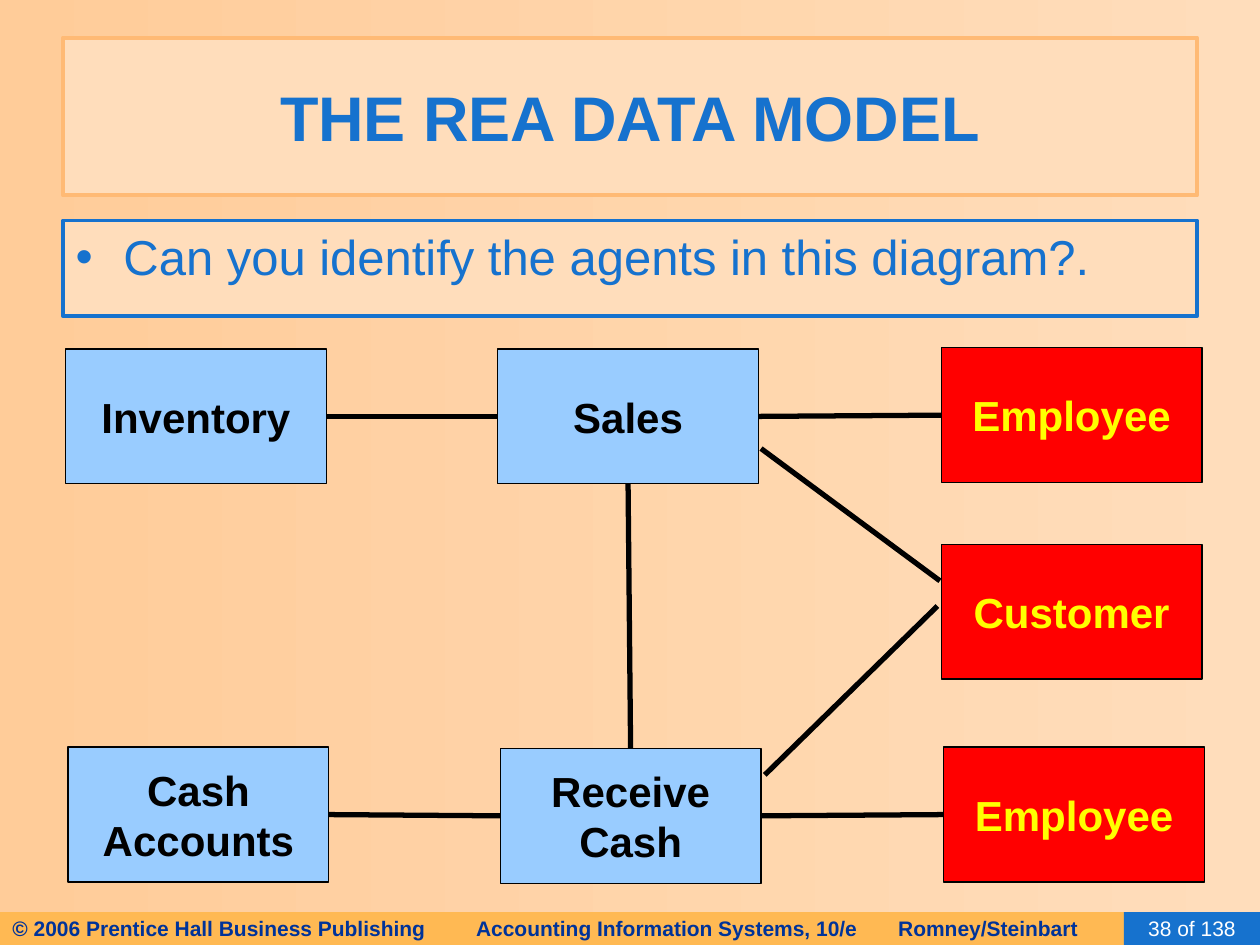
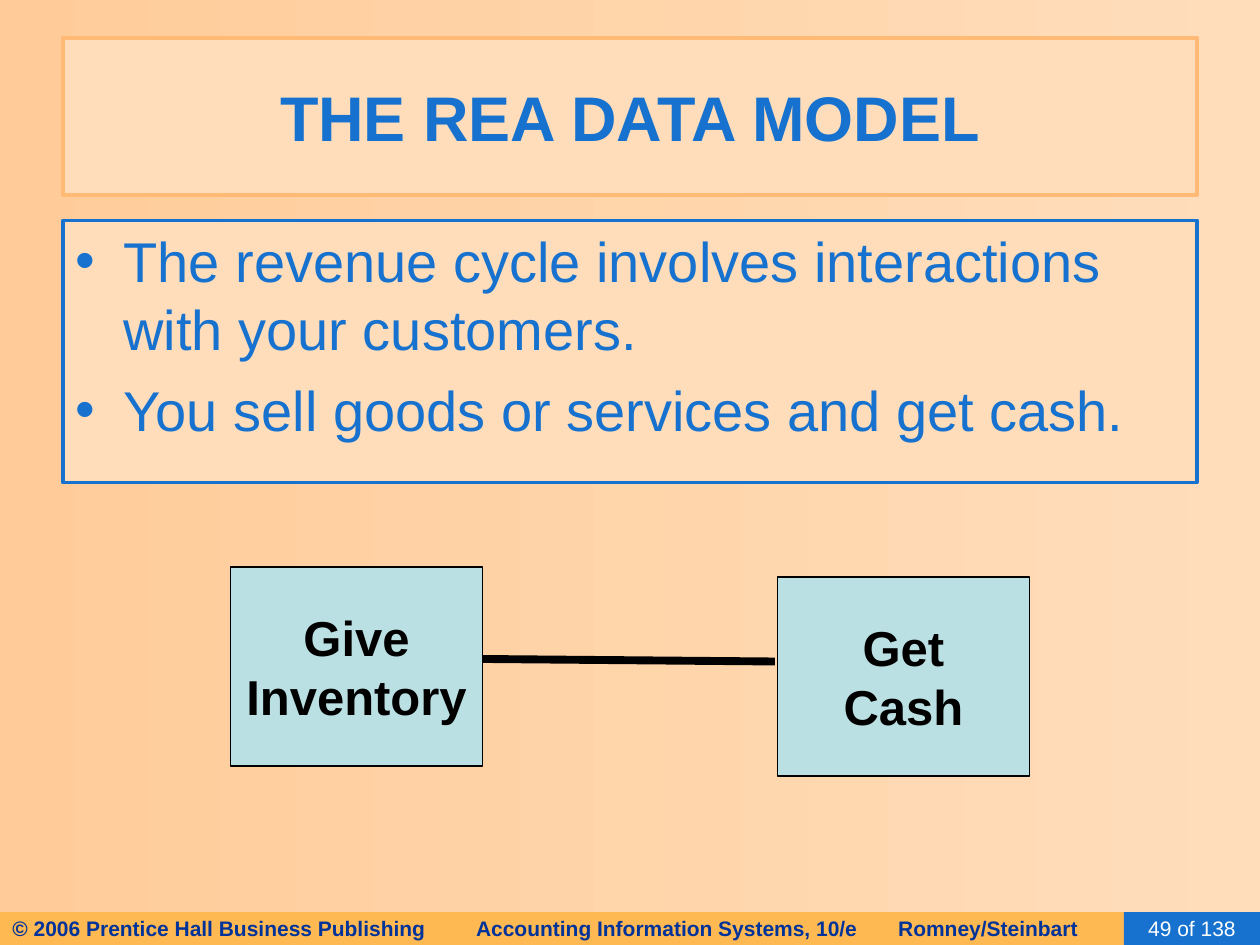
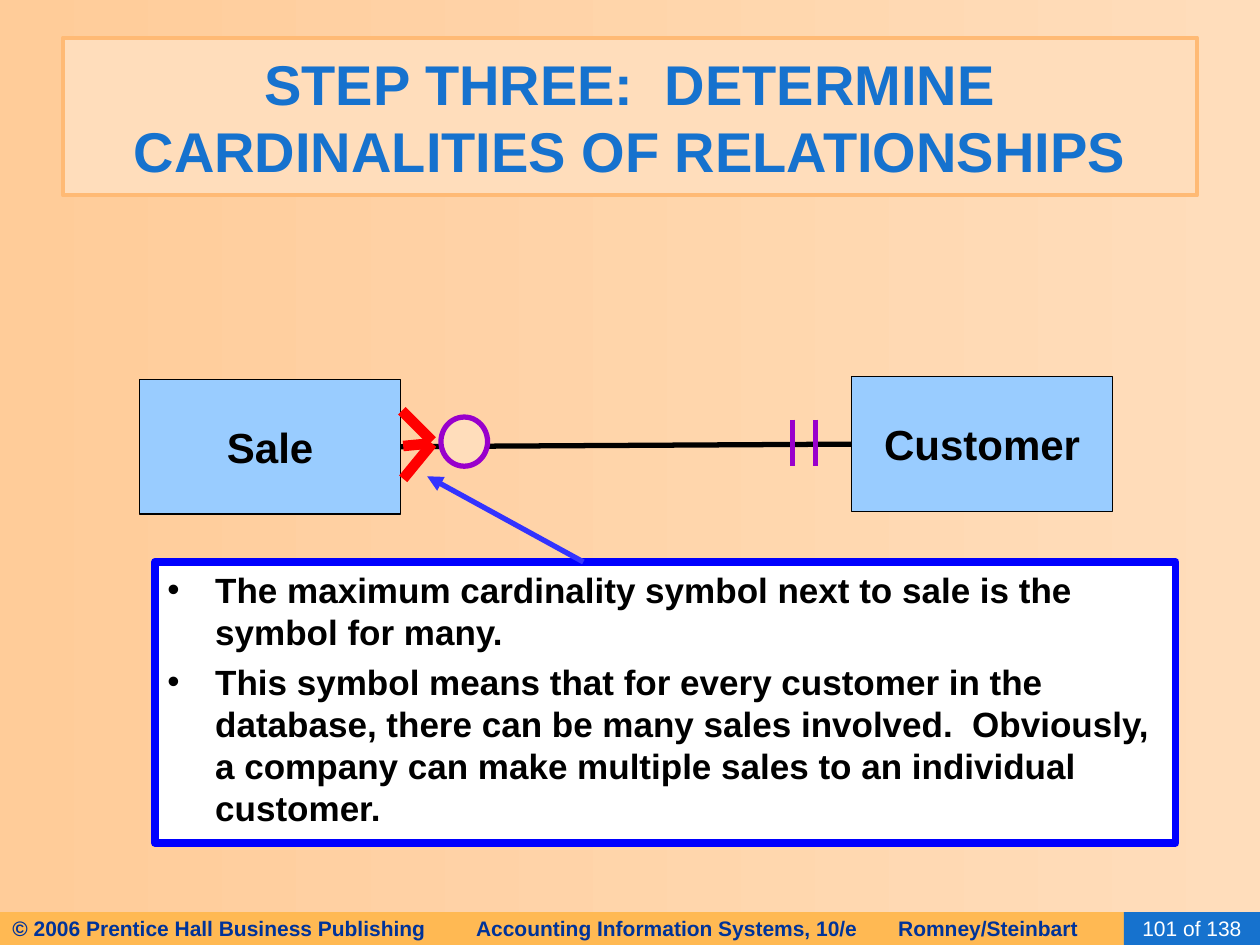
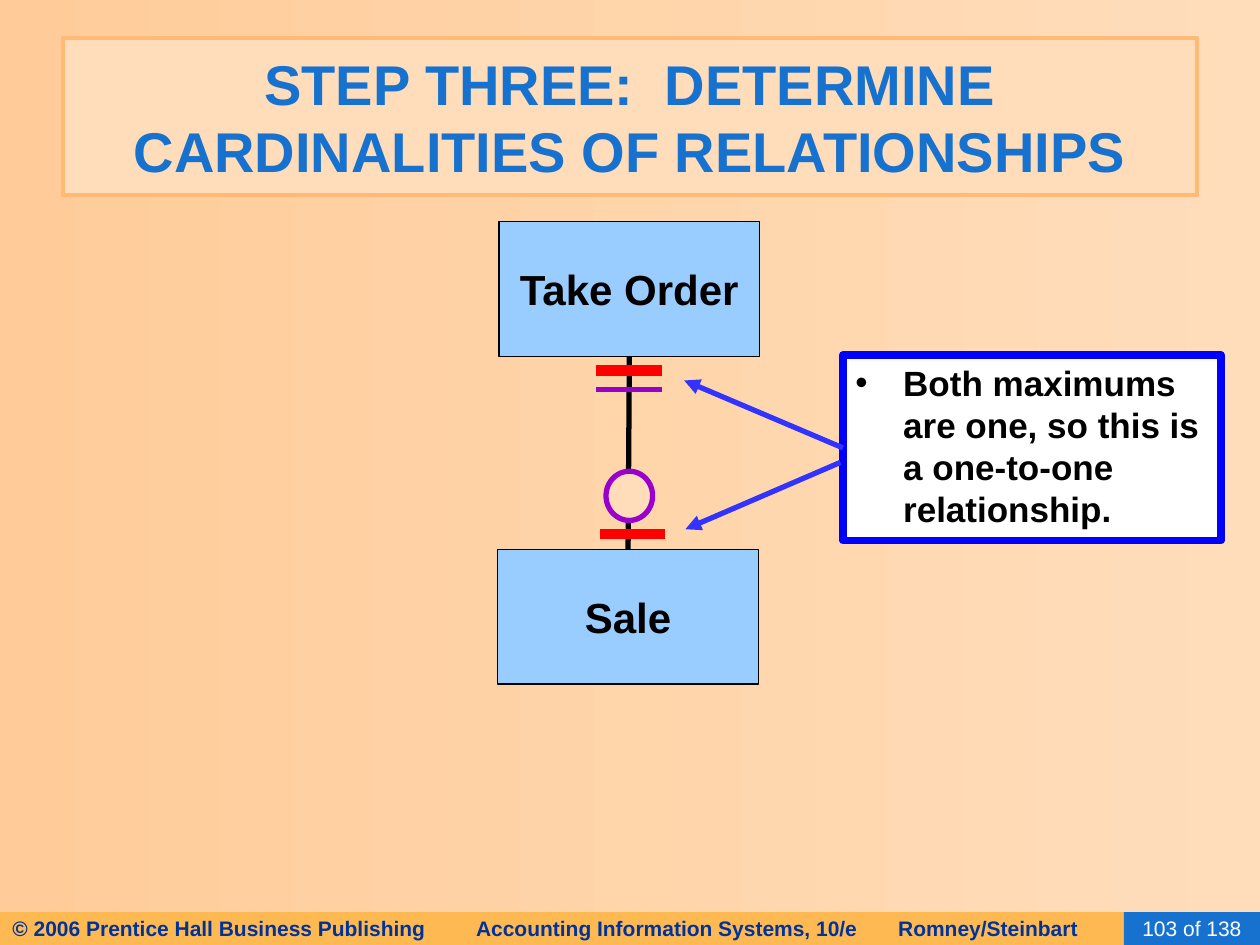
from dataclasses import dataclass

from lxml import etree
from pptx import Presentation, util as u
from pptx.dml.color import RGBColor
from pptx.enum import shapes, text
from pptx.oxml import ns

COLS, ROWS = 20, 15
TOP, LEFT, BOTTOM, RIGHT = range(4)
MID, CENTER = text.MSO_ANCHOR.MIDDLE, text.PP_ALIGN.CENTER
RECT, OVAL = shapes.MSO_SHAPE.RECTANGLE, shapes.MSO_SHAPE.OVAL


@dataclass(frozen=True)
class Theme:
    font: str = "Arial"
    pale: str = "FFDDBB"
    peach: str = "FFCC99"
    edge: str = "FFBA75"
    band: str = "FFB953"
    blue: str = "1672CE"
    navy: str = "003399"
    sky: str = "99CCFF"
    teal: str = "BBE0E3"
    red: str = "FF0000"
    yellow: str = "FFFF00"
    purple: str = "9900CC"
    frame: str = "0000FF"
    arrow: str = "3333FF"
    black: str = "000000"
    white: str = "FFFFFF"
    foot: int = 12
    note: int = 20
    label: int = 24
    big: int = 28
    list: int = 32
    head: int = 36
    thin: float = 0.75
    rule: float = 3
    thick: float = 6


T = Theme()
FOOT = ("© 2006 Prentice Hall Business Publishing\t"
        "Accounting Information Systems, 10/e\tRomney/Steinbart")
BOX = (4.14, 2.14)
RING = (0.74, 0.78)


def rgb(code):
    return RGBColor.from_string(code)


def child(node, tag, **attrs):
    return etree.SubElement(node, ns.qn(tag), attrs)


class Deck:
    """Holds the style, the grid and the current slide."""

    def __init__(self):
        self.prs = Presentation()
        self.prs.slide_width, self.prs.slide_height = u.Inches(10), u.Inches(7.5)
        self.dx = self.prs.slide_width / COLS
        self.dy = self.prs.slide_height / ROWS
        fill = self.prs.slide_master.background.fill
        fill.gradient()
        fill.gradient_angle = 180
        for stop, code, pos in zip(fill.gradient_stops, (T.pale, T.peach), (0, 1)):
            stop.color.rgb, stop.position = rgb(code), pos

    def emu(self, x, y):
        return round(x * self.dx), round(y * self.dy)

    def slide(self, title, page, size=T.head, body=False):
        layout = self.prs.slide_layouts[1 if body else 5]
        self.page = self.prs.slides.add_slide(layout)
        bar = self.shape((0, 14.48), (18.5, 0.52), T.band)
        self.label(bar, [FOOT], T.foot, T.navy, align=None, tabs=(3.68, 7.03))
        tag = self.shape((17.84, 14.48), (2.16, 0.52), T.blue)
        self.label(tag, [f"{page} of 138"], T.foot, T.white, bold=False)
        head = self.page.shapes.title
        self.place(head, (1, 0.6), (18, 2.5))
        self.paint(head, T.pale, T.edge, 2.5)
        self.label(head, [title], size, T.blue)

    def place(self, item, at, size):
        item.left, item.top = self.emu(*at)
        item.width, item.height = self.emu(*size)

    def paint(self, item, fill, edge=None, width=T.thin):
        item.fill.solid()
        item.fill.fore_color.rgb = rgb(fill)
        if edge:
            item.line.color.rgb, item.line.width = rgb(edge), u.Pt(width)
        else:
            item.line.fill.background()

    def shape(self, at, size, fill, edge=None, width=T.thin, kind=RECT):
        item = self.page.shapes.add_shape(kind, *self.emu(*at), *self.emu(*size))
        item.shadow.inherit = False
        self.paint(item, fill, edge, width)
        return item

    def label(self, item, lines, size, color, bold=True, align=CENTER,
              anchor=MID, wrap=True, gap=0, bullet=False, tabs=()):
        frame = item.text_frame
        form = dict(word_wrap=wrap, vertical_anchor=anchor,
                    auto_size=text.MSO_AUTO_SIZE.NONE,
                    margin_left=u.Inches(0.1), margin_right=u.Inches(0.1),
                    margin_top=u.Inches(0.05), margin_bottom=u.Inches(0.05))
        for key, val in form.items():
            setattr(frame, key, val)
        for i, line in enumerate(lines):
            para = frame.add_paragraph() if i else frame.paragraphs[0]
            para.alignment = align or text.PP_ALIGN.LEFT
            para.space_before = u.Pt(gap if i else 0)
            props = para._p.get_or_add_pPr()
            if bullet:
                props.set("marL", str(u.Inches(0.38)))
                props.set("indent", str(-u.Inches(0.38)))
                child(child(props, "a:buClr"), "a:srgbClr", val=color)
                child(props, "a:buFont", typeface=T.font)
                child(props, "a:buChar", char="•")
            if tabs:
                stops = child(props, "a:tabLst")
                for pos in tabs:
                    child(stops, "a:tab", pos=str(u.Inches(pos)), algn="l")
            run = para.add_run()
            run.text = line
            for key, val in dict(name=T.font, size=u.Pt(size), bold=bold).items():
                setattr(run.font, key, val)
            run.font.color.rgb = rgb(color)

    def bullets(self, height, lines, size, gap):
        body = self.page.placeholders[1]
        self.place(body, (1, 3.5), (18, height))
        self.paint(body, T.pale, T.blue, 2.25)
        self.label(body, lines, size, T.blue, bold=False, align=None,
                   anchor=text.MSO_ANCHOR.TOP, gap=gap, bullet=True)

    def box(self, at, lines, fill=T.sky, color=T.black, span=BOX, size=T.label):
        item = self.shape(at, span, fill, T.black)
        self.label(item, lines, size, color, wrap=False)
        return item

    def note(self, at, span, lines):
        item = self.shape(at, span, T.white, T.frame, 4.5)
        self.label(item, lines, T.note, T.black, align=None,
                   anchor=text.MSO_ANCHOR.TOP, gap=5, bullet=True)
        return item

    def ring(self, at):
        self.shape(at, RING, T.pale, T.purple, T.rule, OVAL)

    def line(self, a, b, color=T.black, width=T.rule, arrow=False):
        """Each end is a point on the grid or a (shape, side) joint."""
        joints = [not isinstance(end[0], (int, float)) for end in (a, b)]
        spots = [(0, 0) if joint else self.emu(*end)
                 for joint, end in zip(joints, (a, b))]
        link = self.page.shapes.add_connector(
            shapes.MSO_CONNECTOR.STRAIGHT, *spots[0], *spots[1])
        if joints[0]:
            link.begin_connect(*a)
        if joints[1]:
            link.end_connect(*b)
        link.line.color.rgb, link.line.width = rgb(color), u.Pt(width)
        props = link._element.spPr
        if arrow:
            child(props.get_or_add_ln(), "a:tailEnd", type="triangle")
        child(props, "a:effectLst")


def agents(deck):
    deck.slide("THE REA DATA MODEL", 38, body=True)
    deck.bullets(1.52, ["Can you identify the agents in this diagram?."], T.big, 7)
    hot = dict(fill=T.red, color=T.yellow)
    clerk = deck.box((14.94, 5.52), ["Employee"], **hot)
    deck.box((14.94, 8.64), ["Customer"], **hot)
    teller = deck.box((14.98, 11.86), ["Employee"], **hot)
    sales = deck.box((7.9, 5.54), ["Sales"])
    cash = deck.box((7.94, 11.88), ["Receive", "Cash"])
    stock = deck.box((1.04, 5.54), ["Inventory"])
    funds = deck.box((1.08, 11.86), ["Cash", "Accounts"])
    for a, b in ((stock, sales), (sales, clerk), (funds, cash), (cash, teller)):
        deck.line((a, RIGHT), (b, LEFT))
    deck.line((sales, BOTTOM), (cash, TOP))
    deck.line((12.08, 7.12), (14.92, 9.22))
    deck.line((12.14, 12.3), (14.88, 9.62))


def revenue(deck):
    deck.slide("THE REA DATA MODEL", 49, body=True)
    deck.bullets(4.16, [
        "The revenue cycle involves interactions with your customers.",
        "You sell goods or services and get cash."], T.list, 8)
    look = dict(fill=T.teal, span=(4, 3.16), size=T.big)
    deck.box((3.66, 9), ["Give", "Inventory"], **look)
    deck.box((12.34, 9.16), ["Get", "Cash"], **look)
    deck.line((12.3, 10.5), (7.66, 10.46), width=4.5)


STEP = "STEP THREE:  DETERMINE CARDINALITIES OF RELATIONSHIPS"


def many(deck):
    deck.slide(STEP, 101, T.list)
    sale = deck.box((2.22, 6.02), ["Sale"])
    buyer = deck.box((13.52, 5.98), ["Customer"])
    deck.line((sale, RIGHT), (buyer, LEFT))
    for x in (12.58, 12.94):
        deck.line((x, 6.66), (x, 7.4), T.purple)
    for a, b in (((6.86, 7), (6.38, 6.52)), ((6.4, 7.08), (6.82, 7.04)),
                 ((6.86, 7.04), (6.4, 7.6))):
        deck.line(a, b, T.red, T.thick)
    deck.ring((7, 6.62))
    deck.note((2.46, 8.92), (16.2, 4.46), [
        "The maximum cardinality symbol next to sale is the symbol for many.",
        "This symbol means that for every customer in the database, there can be "
        "many sales involved.  Obviously, a company can make multiple sales to an "
        "individual customer."])
    deck.line((9.26, 8.92), (6.78, 7.56), T.arrow, arrow=True)


def single(deck):
    deck.slide(STEP, 103, T.list)
    sale = deck.box((7.9, 8.72), ["Sale"])
    order = deck.box((7.92, 3.52), ["Take Order"])
    deck.line((order, BOTTOM), (sale, TOP))
    deck.ring((9.62, 7.48))
    for x, y, color, width in ((9.52, 8.48, T.red, T.thick),
                               (9.46, 5.88, T.red, T.thick),
                               (9.46, 6.18, T.purple, T.rule)):
        deck.line((x, y), (x + 1.04, y), color, width)
    note = deck.note((13.38, 5.64), (6, 2.94), [
        "Both maximums are one, so this is a one-to-one relationship."])
    deck.line((note, LEFT), (10.86, 6.04), T.arrow, arrow=True)
    deck.line((13.34, 7.34), (10.88, 8.4), T.arrow, arrow=True)


def main():
    deck = Deck()
    for draw in (agents, revenue, many, single):
        draw(deck)
    deck.prs.save("out.pptx")


if __name__ == "__main__":
    main()
